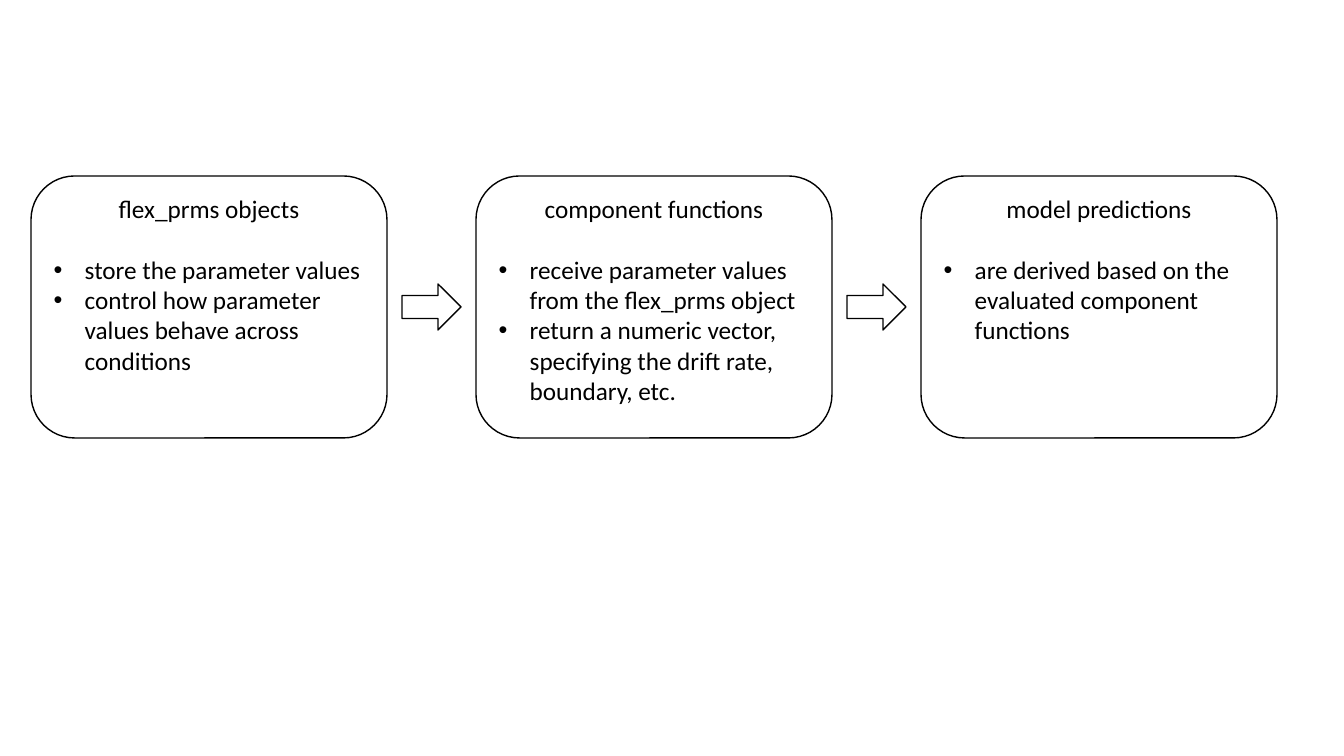
import pptx
import pptx.dml.color
import pptx.enum.shapes
import pptx.enum.text
import pptx.oxml.ns
import pptx.util
from lxml import etree

COLORS = {"ink": "000000"}
FONT = "Calibri"
SHAPES = pptx.enum.shapes.MSO_SHAPE
ALIGN = pptx.enum.text.PP_ALIGN


def px(length):
    return pptx.util.Emu(round(length * 914400 / 100.8))


def rgb(name):
    return pptx.dml.color.RGBColor.from_string(COLORS[name])


def write(paragraph, text, *, size=18, color="ink", align=ALIGN.LEFT,
          space_after=0, bullet=None, indent=31):
    run = paragraph.add_run()
    run.text = text
    run.font.name = FONT
    run.font.size = pptx.util.Pt(size)
    run.font.color.rgb = rgb(color)
    paragraph.alignment = align
    paragraph.space_after = pptx.util.Pt(space_after)
    if bullet:
        properties = paragraph._p.get_or_add_pPr()
        properties.set("marL", str(px(indent)))
        properties.set("indent", str(-px(indent)))
        for tag, key, value in (("a:buFont", "typeface", "Arial"),
                                ("a:buChar", "char", bullet)):
            etree.SubElement(properties, pptx.oxml.ns.qn(tag)).set(key, value)


class FlowSlide:
    def __init__(self, deck, line_width=1):
        self.slide = deck.slides.add_slide(deck.slide_layouts[6])
        self.line_width = line_width

    def outline(self, preset, left, top, width, height):
        shape = self.slide.shapes.add_shape(
            preset, px(left), px(top), px(width), px(height))
        shape.shadow.inherit = False
        shape.fill.background()
        shape.line.color.rgb = rgb("ink")
        shape.line.width = pptx.util.Pt(self.line_width)
        return shape

    def stage(self, left, top, width, height, title, points):
        frame = self.outline(SHAPES.ROUNDED_RECTANGLE,
                             left, top, width, height).text_frame
        frame.word_wrap = True
        frame.vertical_anchor = pptx.enum.text.MSO_ANCHOR.TOP
        # The space after the title is one line of text
        write(frame.paragraphs[0], title, align=ALIGN.CENTER, space_after=21.6)
        for point in points:
            write(frame.add_paragraph(), point, bullet="•")

    def arrow(self, left, middle, width, height):
        self.outline(SHAPES.RIGHT_ARROW, left, middle - height // 2, width, height)


STAGES = [
    ("flex_prms objects", [
        "store the parameter values",
        "control how parameter values behave across conditions"]),
    ("component functions", [
        "receive parameter values from the flex_prms object",
        "return a numeric vector, specifying the drift rate, boundary, etc."]),
    ("model predictions", [
        "are derived based on the evaluated component functions"]),
]


def main():
    deck = pptx.Presentation()
    deck.slide_width, deck.slide_height = px(1344), px(756)
    flow = FlowSlide(deck)

    # Equal stages with an arrow centred in each gap
    first_left, top, width, height, gap = 31, 176, 356, 262, 89
    arrow_width, arrow_height = 59, 46
    for number, (title, points) in enumerate(STAGES):
        left = first_left + number * (width + gap)
        if number:
            flow.arrow(left - (gap + arrow_width) // 2, top + height // 2,
                       arrow_width, arrow_height)
        flow.stage(left, top, width, height, title, points)

    deck.save("out.pptx")


if __name__ == "__main__":
    main()
